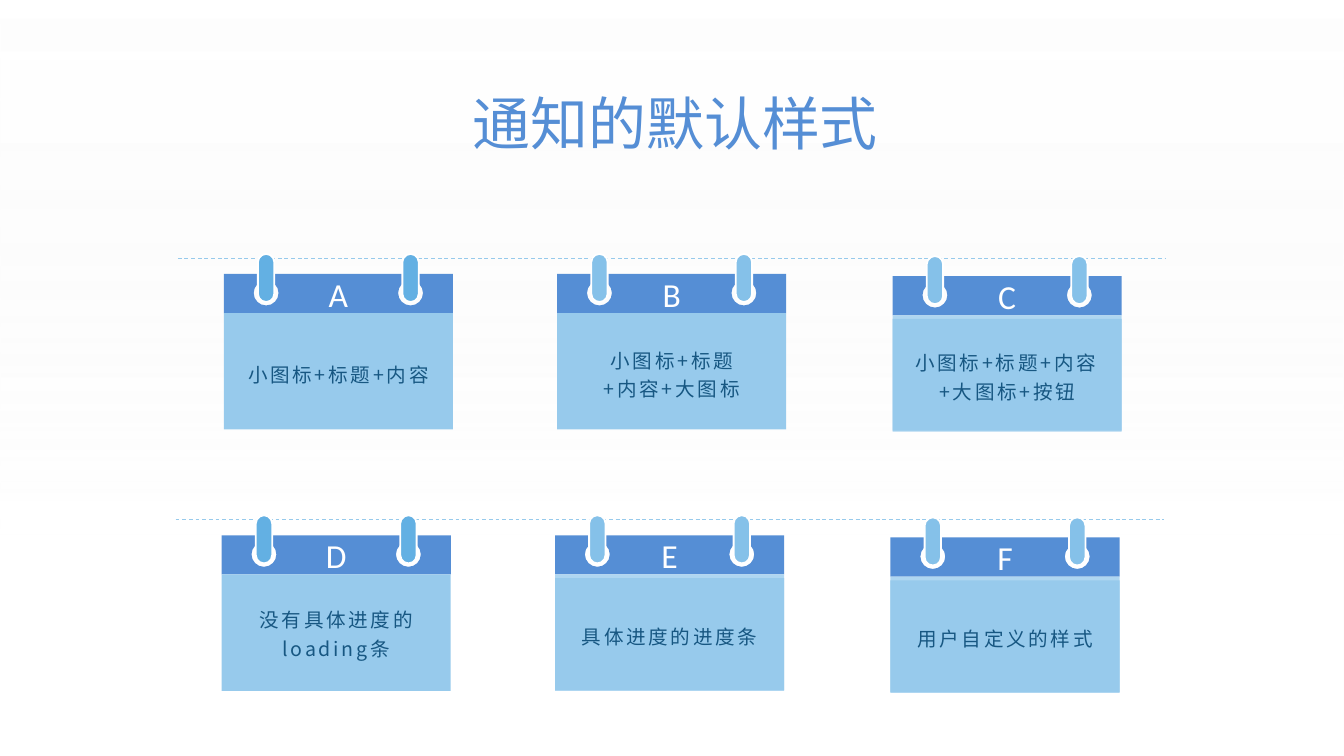
from dataclasses import dataclass

from lxml.etree import SubElement
from pptx import Presentation
from pptx.dml.color import RGBColor
from pptx.enum.dml import MSO_LINE
from pptx.enum.shapes import MSO_CONNECTOR, MSO_SHAPE
from pptx.enum.text import MSO_ANCHOR, PP_ALIGN
from pptx.oxml.ns import qn
from pptx.util import Cm, Pt


@dataclass(frozen=True)
class Theme:
    """Colours, fonts and type sizes of the slide."""
    white: str = "FFFFFF"
    mist: str = "F2F2F2"
    blue: str = "558ED5"
    sky: str = "97CAEC"
    pale: str = "AED6F1"
    strap_dark: str = "63B0E3"
    strap_light: str = "85C1E9"
    ink: str = "175782"
    text_font: str = "Noto Sans CJK SC"
    letter_font: str = "Calibri"
    title_size: float = 31
    letter_size: float = 18
    label_size: float = 10.5


@dataclass(frozen=True)
class Card:
    """Content and variant of one calendar card."""
    letter: str
    lines: tuple
    strap: str
    panel: bool = False
    lift: float = 0


THEME = Theme()
SLIDE_WIDTH, SLIDE_HEIGHT = 25.4, 14.29
CARD_WIDTH, HEADER_HEIGHT, BODY_HEIGHT = 4.33, 0.74, 2.2
PANEL_DROP, PANEL_HEIGHT = 0.07, 2.11
RING_CENTRES, RING_Y, RING_RADIUS = (0.8, 3.53), 0.36, 0.235
CIRCLE_HANDLE = 0.55
STRAP_WIDTH, STRAP_HEIGHT, STRAP_RISE = 0.31, 0.91, 0.38
CARD_OFFSETS = ((0.87, 0), (7.17, 0), (13.51, 0.04))
LINE_LENGTH, CARD_DROP = 18.67, 0.3

ROWS = (
    (3.36, 4.88, (
        Card("A", ("小图标+标题+内容",), THEME.strap_dark),
        Card("B", ("小图标+标题", "+内容+大图标"), THEME.strap_light),
        Card("C", ("小图标+标题+内容+大图标+按钮",), THEME.strap_light, True))),
    (3.32, 9.82, (
        Card("D", ("没有具体进度的", "loading条"), THEME.strap_dark, lift=0.04),
        Card("E", ("具体进度的进度条",), THEME.strap_light, True),
        Card("F", ("用户自定义的样式",), THEME.strap_light, True))),
)


def paint(shape, fill):
    """Give a shape a flat fill with neither line nor shadow."""
    shape.shadow.inherit = False
    shape.fill.solid()
    shape.fill.fore_color.rgb = RGBColor.from_string(fill)
    shape.line.fill.background()


def add_block(page, kind, left, top, width, height, fill):
    """Add a flat preset shape, measured in centimetres."""
    shape = page.shapes.add_shape(kind, Cm(left), Cm(top), Cm(width), Cm(height))
    paint(shape, fill)
    return shape


def write(box, lines, font, size, colour, align=PP_ALIGN.CENTER,
          spacing=None, tracking=None):
    """Fill a box with lines of uniformly formatted text."""
    frame = box.text_frame
    frame.text = "\n".join(lines)
    frame.vertical_anchor = MSO_ANCHOR.MIDDLE
    for para in frame.paragraphs:
        para.alignment = align
        para.line_spacing = spacing
        for span in para.runs:
            span.font.size = Pt(size)
            span.font.name = font
            span.font.color.rgb = RGBColor.from_string(colour)
            properties = span._r.get_or_add_rPr()
            SubElement(properties, qn("a:ea")).set("typeface", font)
            if tracking:
                properties.set("spc", str(int(tracking * 100)))


def add_background(page):
    """Lay a faint, fading vertical gradient on the slide master."""
    veil = add_block(page, MSO_SHAPE.RECTANGLE, 0, 0, SLIDE_WIDTH, SLIDE_HEIGHT,
                     THEME.white)
    veil.fill.gradient()
    veil.fill.gradient_angle = 270
    stops = ((0, THEME.white, 55), (0.71, THEME.mist, 0))
    for stop, (position, colour, _) in zip(veil.fill.gradient_stops, stops):
        stop.position = position
        stop.color.rgb = RGBColor.from_string(colour)
    for tint, (_, _, opacity) in zip(veil._element.spPr.iter(qn("a:srgbClr")), stops):
        SubElement(tint, qn("a:alpha")).set("val", str(opacity * 1000))
    master = page.slide_layout.slide_master
    master.shapes._spTree.insert(2, veil._element)


def add_title(page, left, top, width, height):
    """Place the slide title in the given box."""
    box = page.shapes.add_textbox(Cm(left), Cm(top), Cm(width), Cm(height))
    frame = box.text_frame
    frame.word_wrap = True
    frame.margin_left = frame.margin_right = frame.margin_top = frame.margin_bottom = 0
    write(box, ("通知的默认样式",), THEME.text_font, THEME.title_size, THEME.blue,
          PP_ALIGN.LEFT)


def add_step(outline, command, points):
    """Append one drawing command with its points to an outline."""
    step = SubElement(outline, qn(f"a:{command}"))
    for x, y in points:
        point = SubElement(step, qn("a:pt"))
        point.set("x", str(int(Cm(x))))
        point.set("y", str(int(Cm(y))))


def punch_hole(outline, centre_x, centre_y, radius):
    """Append a circle of four curves to an outline."""
    def around(x, y):
        return centre_x + radius * x, centre_y + radius * y

    add_step(outline, "moveTo", [around(0, -1)])
    for x, y in ((0, -1), (-1, 0), (0, 1), (1, 0)):
        next_x, next_y = y, -x
        add_step(outline, "cubicBezTo", [
            around(x + CIRCLE_HANDLE * next_x, y + CIRCLE_HANDLE * next_y),
            around(next_x + CIRCLE_HANDLE * x, next_y + CIRCLE_HANDLE * y),
            around(next_x, next_y)])
    SubElement(outline, qn("a:close"))


def add_header(page, left, top, letter):
    """Add the card's header strip with two punched round holes."""
    right, bottom = left + CARD_WIDTH, top + HEADER_HEIGHT
    builder = page.shapes.build_freeform(Cm(left), Cm(top))
    builder.add_line_segments([(Cm(x), Cm(y)) for x, y in (
        (right, top), (right, bottom), (left, bottom))], close=True)
    header = builder.convert_to_shape()
    outline = next(header._element.iter(qn("a:path")))
    for centre in RING_CENTRES:
        punch_hole(outline, centre, RING_Y, RING_RADIUS)
    paint(header, THEME.blue)
    write(header, (letter,), THEME.letter_font, THEME.letter_size, THEME.white)


def add_card(page, left, top, card):
    """Build one calendar card from its top left corner."""
    add_header(page, left, top, card.letter)
    body_top = top + HEADER_HEIGHT
    add_block(page, MSO_SHAPE.RECTANGLE, left, body_top, CARD_WIDTH, BODY_HEIGHT,
              THEME.pale if card.panel else THEME.sky)
    for centre in RING_CENTRES:
        strap = add_block(page, MSO_SHAPE.ROUNDED_RECTANGLE,
                          left + centre - STRAP_WIDTH / 2, top - STRAP_RISE,
                          STRAP_WIDTH, STRAP_HEIGHT, card.strap)
        strap.adjustments[0] = 0.5
        strap.line.color.rgb = RGBColor.from_string(THEME.white)
        strap.line.width = Pt(1)
    area = (left, body_top + PANEL_DROP - card.lift, CARD_WIDTH, PANEL_HEIGHT)
    if card.panel:
        label = add_block(page, MSO_SHAPE.RECTANGLE, *area, THEME.sky)
    else:
        label = page.shapes.add_textbox(*map(Cm, area))
    label.text_frame.word_wrap = card.panel
    write(label, card.lines, THEME.text_font, THEME.label_size, THEME.ink,
          spacing=1.2, tracking=1.5)


def add_row(page, left, top, cards):
    """Hang a row of cards on a dashed line starting at the given point."""
    line = page.shapes.add_connector(MSO_CONNECTOR.STRAIGHT, Cm(left), Cm(top),
                                     Cm(left + LINE_LENGTH), Cm(top))
    line.line.color.rgb = RGBColor.from_string(THEME.sky)
    line.line.width = Pt(0.5)
    line.line.dash_style = MSO_LINE.DASH
    SubElement(line._element.spPr, qn("a:effectLst"))
    for card, (across, down) in zip(cards, CARD_OFFSETS):
        add_card(page, left + across, top + CARD_DROP + down, card)


deck = Presentation()
deck.slide_width, deck.slide_height = Cm(SLIDE_WIDTH), Cm(SLIDE_HEIGHT)
slide = deck.slides.add_slide(deck.slide_layouts[6])
add_background(slide)
add_title(slide, 8.94, 1.65, 14.48, 1.32)
for row_left, row_top, row_cards in ROWS:
    add_row(slide, row_left, row_top, row_cards)
deck.save("out.pptx")
